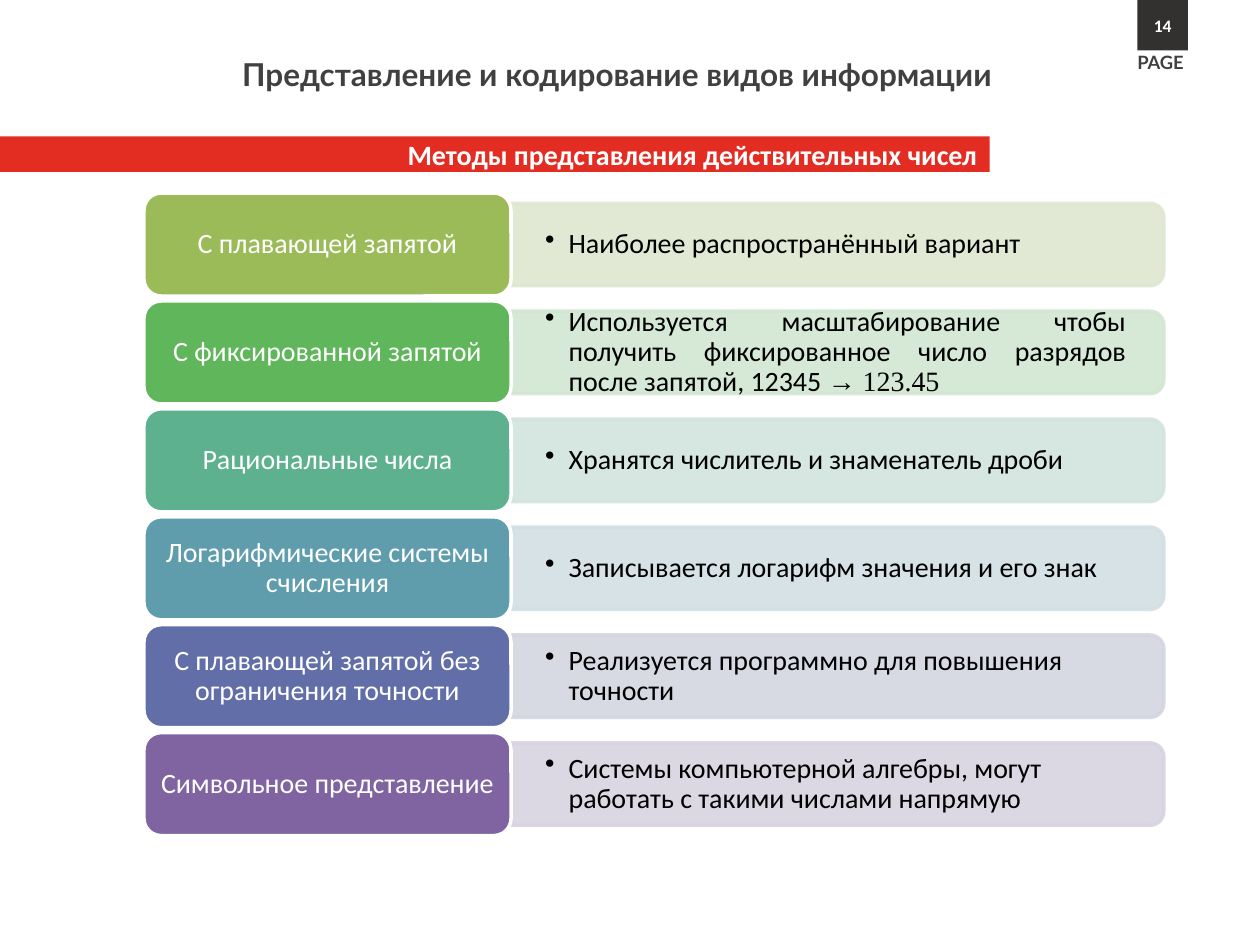
from dataclasses import dataclass

from lxml import etree
from pptx import Presentation
from pptx.dml.color import RGBColor
from pptx.enum.shapes import MSO_SHAPE
from pptx.enum.text import MSO_ANCHOR, PP_ALIGN
from pptx.oxml.ns import qn
from pptx.util import Pt

RECT = MSO_SHAPE.RECTANGLE
ROUNDED = MSO_SHAPE.ROUNDED_RECTANGLE
ROUND_TOP = MSO_SHAPE.ROUND_2_SAME_RECTANGLE
LEFT, RIGHT, CENTER = PP_ALIGN.LEFT, PP_ALIGN.RIGHT, PP_ALIGN.CENTER
JUSTIFY = PP_ALIGN.JUSTIFY
TOP, MIDDLE = MSO_ANCHOR.TOP, MSO_ANCHOR.MIDDLE
TITLE_ONLY = 5


@dataclass(frozen=True)
class Theme:
    heading_font: str = "Lato"
    body_font: str = "Calibri"
    formula_font: str = "Times New Roman"
    white: str = "FFFFFF"
    black: str = "000000"
    gray: str = "404040"
    dark: str = "333030"
    red: str = "E32C22"
    title_size: float = 18
    body_size: float = 16
    page_size: float = 10.5
    number_size: float = 10


THEME = Theme()

# label, label colour, bar colour, description runs, alignment
METHODS = [
    ("С плавающей запятой", "9BBB59", "DEE7D1",
     ["Наиболее распространённый вариант"], LEFT),
    ("С фиксированной запятой", "5FB65B", "D2E6D2",
     ["Используется масштабирование чтобы получить фиксированное число "
      "разрядов после запятой, 12345 ", "→ 123.45"], JUSTIFY),
    ("Рациональные числа", "5DB18E", "D2E4DD",
     ["Хранятся числитель и знаменатель дроби"], LEFT),
    ("Логарифмические системы счисления", "5F9DAC", "D2DFE3",
     ["Записывается логарифм значения и его знак"], LEFT),
    ("С плавающей запятой без ограничения точности", "626EA7", "D3D6E1",
     ["Реализуется программно для повышения точности"], LEFT),
    ("Символьное представление", "8064A2", "D8D3E0",
     ["Системы компьютерной алгебры, могут работать с такими числами "
      "напрямую"], LEFT),
]


def style_run(r, font, size, color, bold=False):
    r.font.name = font
    r.font.size = Pt(size)
    r.font.bold = bold
    r.font.color.rgb = RGBColor.from_string(color)


def set_frame(tf, anchor, inset_x=7.2, inset_y=3.6, wrap=True):
    tf.word_wrap = wrap
    tf.vertical_anchor = anchor
    tf.margin_left = tf.margin_right = Pt(inset_x)
    tf.margin_top = tf.margin_bottom = Pt(inset_y)


def write(tf, text, align, font, size, color, bold=False):
    tf.text = text
    p = tf.paragraphs[0]
    p.alignment = align
    style_run(p.runs[0], font, size, color, bold)
    return p


def add_block(s, kind, x, y, w, h, fill, line=None):
    sp = s.shapes.add_shape(kind, Pt(x), Pt(y), Pt(w), Pt(h))
    sp.shadow.inherit = False
    sp.fill.solid()
    sp.fill.fore_color.rgb = RGBColor.from_string(fill)
    if line:
        sp.line.color.rgb = RGBColor.from_string(line)
        sp.line.width = Pt(2)
    else:
        sp.line.fill.background()
    return sp


def set_opacity(sp, percent):
    """Applies to both the fill and the line."""
    for color in sp.element.spPr.iter(qn("a:srgbClr")):
        etree.SubElement(color, qn("a:alpha")).set("val", str(percent * 1000))


def add_bullet(p, indent):
    pPr = p._p.get_or_add_pPr()
    pPr.set("marL", str(Pt(indent)))
    pPr.set("indent", str(-Pt(indent)))
    etree.SubElement(pPr, qn("a:buChar")).set("char", "•")


def place_title(s, x, y, w, h):
    title = s.shapes.title
    title.left, title.top, title.width, title.height = Pt(x), Pt(y), Pt(w), Pt(h)
    set_frame(title.text_frame, TOP)
    write(title.text_frame, "Представление и кодирование видов информации",
          RIGHT, THEME.heading_font, THEME.title_size, THEME.gray, True)


def add_banner(s, x, y, w, h):
    sp = add_block(s, RECT, x, y, w, h, THEME.red)
    set_frame(sp.text_frame, MIDDLE)
    write(sp.text_frame, "Методы представления действительных чисел",
          RIGHT, THEME.body_font, THEME.body_size, THEME.white, True)


def add_page_mark(s, x, y, side):
    tag = s.shapes.add_textbox(Pt(x - 7.2), Pt(y + 0.9 * side), Pt(42.5), Pt(20))
    set_frame(tag.text_frame, TOP, wrap=False)
    write(tag.text_frame, "PAGE", LEFT, THEME.heading_font, THEME.page_size,
          THEME.gray, True)
    sp = add_block(s, RECT, x, y, side, side, THEME.dark)
    set_frame(sp.text_frame, MIDDLE, inset_x=0)
    write(sp.text_frame, "14", CENTER, THEME.body_font, THEME.number_size,
          THEME.white, True)


def add_method(s, x, y, w, h, method):
    label, color, tint, parts, align = method
    label_w = 0.36 * w
    bar_x, bar_w, bar_h = x + label_w, w - label_w, 0.8 * h

    # The bar is an upright shape turned a quarter, so its sides are swapped.
    bar = add_block(s, ROUND_TOP, bar_x + (bar_w - bar_h) / 2,
                    y + (h - bar_w) / 2, bar_h, bar_w, tint, tint)
    bar.rotation = 90
    set_opacity(bar, 90)

    text_h = 0.72 * h
    box = s.shapes.add_textbox(Pt(bar_x), Pt(y + (h - text_h) / 2),
                               Pt(bar_w - 2), Pt(text_h))
    set_frame(box.text_frame, MIDDLE, 19.4, 10)
    p = write(box.text_frame, parts[0], align, THEME.body_font,
              THEME.body_size, THEME.black)
    add_bullet(p, 13.5)
    p.line_spacing = 0.9
    for formula in parts[1:]:
        r = p.add_run()
        r.text = formula
        style_run(r, THEME.formula_font, THEME.body_size, THEME.black)

    sp = add_block(s, ROUNDED, x, y, label_w, h, color, THEME.white)
    set_frame(sp.text_frame, MIDDLE, 5, 2.5)
    p = write(sp.text_frame, label, CENTER, THEME.body_font,
              THEME.body_size, THEME.white)
    p.line_spacing = 0.9


def add_method_list(s, x, y, w, h, methods):
    gap = 2.8
    row_h = (h - gap * (len(methods) - 1)) / len(methods)
    for i, method in enumerate(methods):
        add_method(s, x, y + i * (row_h + gap), w, row_h, method)


def main():
    prs = Presentation()
    prs.slide_width, prs.slide_height = Pt(720), Pt(540)
    s = prs.slides.add_slide(prs.slide_layouts[TITLE_ONLY])
    place_title(s, 82, 28, 492, 29)
    add_banner(s, 0, 78, 565.5, 20.3)
    add_page_mark(s, 650, 0, 28.8)
    add_method_list(s, 82.3, 110.3, 582.7, 367.2, METHODS)
    prs.save("out.pptx")


if __name__ == "__main__":
    main()
